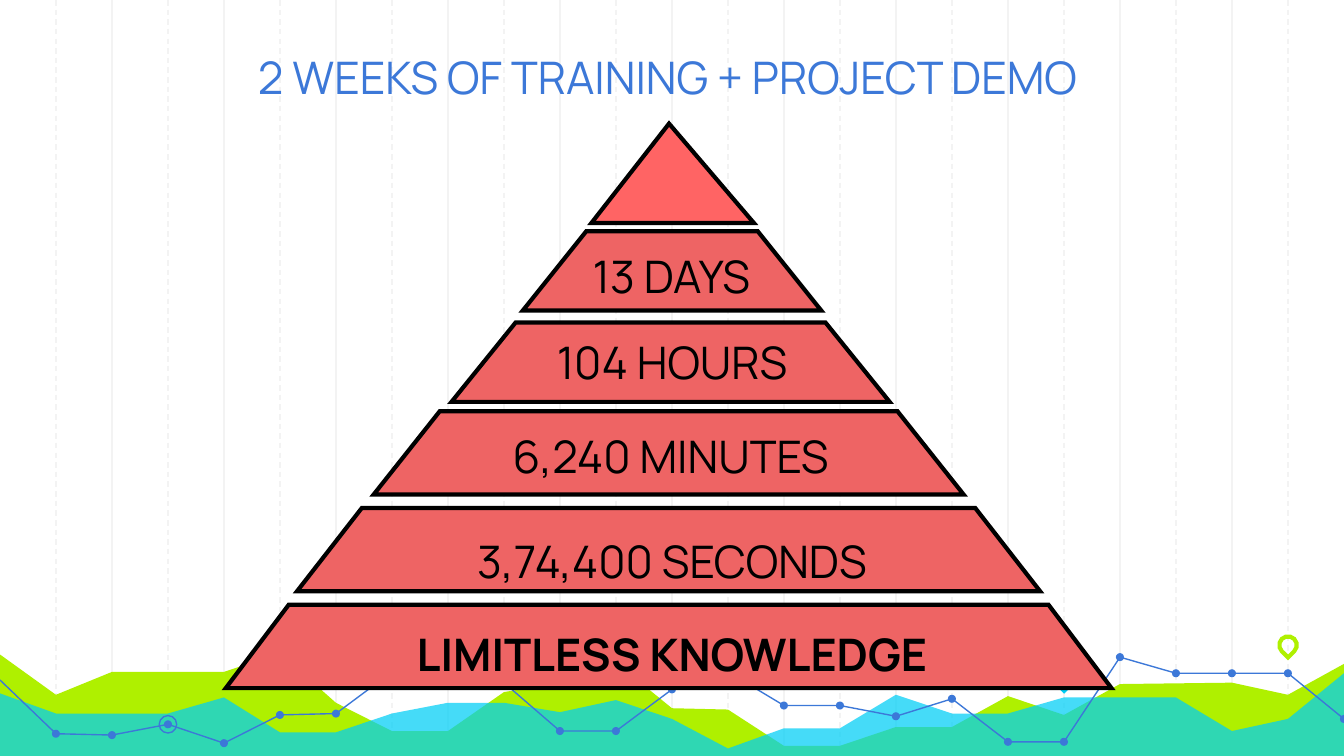
import pptx
import pptx.util
import pptx.dml.color
import pptx.enum.dml
import pptx.enum.shapes
import pptx.enum.text
import pptx.oxml.ns
from dataclasses import dataclass
from lxml import etree

Inches, Pt = pptx.util.Inches, pptx.util.Pt
Shape = pptx.enum.shapes.MSO_SHAPE
qn = pptx.oxml.ns.qn


@dataclass(frozen=True)
class Theme:
    font: str = "Manrope"
    size: int = 24
    blue: str = "3C78D8"
    green: str = "AFF000"
    cyan: str = "00CEF6"
    grid: str = "F3F3F3"
    red: str = "EE6464"
    bright_red: str = "FF6464"
    black: str = "000000"
    thin: float = 0.75
    thick: float = 2.25


THEME = Theme()
WIDTH = 10
HEIGHT = WIDTH * 9 / 16
COLUMN = WIDTH / 24

# Content: the pyramid, from the base up
TITLE = "2 WEEKS OF TRAINING + PROJECT DEMO "
TIERS = [  # left, top, width, height, slant
    (1.68, 4.5, 6.59, 0.62, 0.755),
    (2.21, 3.78, 5.53, 0.62, 0.779),
    (2.78, 3.06, 4.39, 0.62, 0.794),
    (3.36, 2.4, 3.26, 0.59, 0.808),
    (3.89, 1.72, 2.22, 0.59, 0.801),
]
LABELS = [  # text, left, top, width, height, line spacing, bold
    ("LIMITLESS KNOWLEDGE", 1.33, 4.32, 7.34, 1.04, 1.1, True),
    ("3,74,400 SECONDS", 1.33, 3.63, 7.34, 1.04, 1.1, False),
    ("6,240 MINUTES", 3.36, 3.15, 3.26, 0.48, 1, False),
    ("104 HOURS", 3.89, 2.45, 2.22, 0.48, 1, False),
    ("13 DAYS", 4.09, 1.81, 1.81, 0.48, 1, False),
]

# Backdrop: heights on the 24-column grid
GREEN_HILLS = {
    0: 4.87, 1: 5.17, 2: 5, 4: 5, 5: 4.86, 6: 5.23, 7: 5.44, 8: 5.44,
    9: 5.15, 10: 5.08, 11: 4.93, 12: 5.27, 13: 5.28, 14: 5.55, 15: 5.55,
    16: 5.41, 17: 5.41, 18: 5.18, 19: 5.32, 20: 5.09, 22: 5.08, 23: 5.17,
    24: 4.94,
}
CYAN_HILLS = {
    0: 5.16, 1: 5.31, 3: 5.31, 4: 5.19, 5: 5.45, 6: 5.45, 7: 5.31, 8: 5.23,
    9: 5.23, 10: 5.3, 11: 5.21, 12: 5.35, 13: 5.57, 14: 5.42, 15: 5.42,
    16: 5.17, 17: 5.31, 18: 5.31, 19: 5.19, 21: 5.19, 22: 5.44, 23: 5.35,
    24: 5.01,
}
TREND = [
    5.06, 5.46, 5.47, 5.39, 5.53, 5.32, 5.31, 5, 5.08, 5.08, 5.44, 5.44, 5.13,
    5, 5.25, 5.25, 5.33, 5.2, 5.52, 5.52, 4.89, 5.01, 5.01, 5.01, 5.35,
]
TREND_PARTS = [(0, 11), (11, 20), (20, 24)]
RINGED = 3
DOT, MARKER = 0.06, 0.13

deck = pptx.Presentation()
deck.slide_width, deck.slide_height = Inches(WIDTH), Inches(HEIGHT)
page = deck.slides.add_slide(deck.slide_layouts[5])


def rgb(value):
    return pptx.dml.color.RGBColor.from_string(value)


def paint(shape, fill=None, line=None, weight=THEME.thin):
    shape.shadow.inherit = False
    if fill:
        shape.fill.solid()
        shape.fill.fore_color.rgb = rgb(fill)
    else:
        shape.fill.background()
    if line:
        shape.line.color.rgb = rgb(line)
        shape.line.width = Pt(weight)
        etree.SubElement(shape.line._get_or_add_ln(), qn("a:miter"), lim="800000")
    else:
        shape.line.fill.background()
    return shape


def add_preset(kind, left, top, width, height, **style):
    shape = page.shapes.add_shape(
        kind, Inches(left), Inches(top), Inches(width), Inches(height))
    return paint(shape, **style)


def add_marker(kind, center, middle, size, **style):
    return add_preset(kind, center - size / 2, middle - size / 2, size, size,
                      **style)


def add_pin(center, middle, **style):
    add_marker(Shape.TEAR, center, middle, MARKER, **style).rotation = 135


def add_outline(points, close, **style):
    corners = [(Inches(x), Inches(y)) for x, y in points]
    builder = page.shapes.build_freeform(*corners[0])
    builder.add_line_segments(corners[1:], close=close)
    return paint(builder.convert_to_shape(), **style)


def add_hills(heights, color):
    ridge = [(column * COLUMN, y) for column, y in heights.items()]
    return add_outline(ridge + [(WIDTH, HEIGHT), (0, HEIGHT)], True, fill=color)


def write(box, text, color, spacing, bold=False):
    frame = box.text_frame
    frame.text = text
    frame.word_wrap = True
    frame.auto_size = pptx.enum.text.MSO_AUTO_SIZE.NONE
    frame.vertical_anchor = pptx.enum.text.MSO_ANCHOR.MIDDLE
    frame.margin_left = frame.margin_right = 0
    frame.margin_top = frame.margin_bottom = 0
    para = frame.paragraphs[0]
    para.alignment = pptx.enum.text.PP_ALIGN.CENTER
    para.line_spacing = spacing
    font = para.runs[0].font
    font.name, font.size, font.bold = THEME.font, Pt(THEME.size), bold
    font.color.rgb = rgb(color)


# Grid: solid lines on even columns, dashed on odd ones
for column in range(1, 24):
    x = Inches(column * COLUMN)
    rule = page.shapes.add_connector(
        pptx.enum.shapes.MSO_CONNECTOR.STRAIGHT, x, 0, x, Inches(HEIGHT))
    rule.line.color.rgb = rgb(THEME.grid)
    rule.line.width = Pt(THEME.thin)
    if column % 2:
        rule.line.dash_style = pptx.enum.dml.MSO_LINE.DASH
    etree.SubElement(rule._element.spPr, qn("a:effectLst"))

# Hills
add_hills(GREEN_HILLS, THEME.green)
cyan_hills = add_hills(CYAN_HILLS, THEME.cyan)
tint = cyan_hills._element.spPr.find(".//" + qn("a:srgbClr"))
etree.SubElement(tint, qn("a:alpha"), val="73000")

# Trend line with its dots and pins
add_pin(19 * COLUMN, 5.07, fill=THEME.cyan)
trend_points = [(column * COLUMN, y) for column, y in enumerate(TREND)]
for first, last in TREND_PARTS:
    add_outline(trend_points[first:last + 1], False, line=THEME.blue)
for x, y in trend_points[1:]:
    add_marker(Shape.OVAL, x, y, DOT, fill=THEME.blue)
add_marker(Shape.OVAL, *trend_points[RINGED], MARKER, line=THEME.blue)
add_pin(23 * COLUMN, 4.8, line=THEME.green, weight=THEME.thick)

# Title, brought in front of the backdrop
title = page.shapes.title
title.left, title.top = 0, Inches(0.18)
title.width, title.height = Inches(WIDTH), Inches(0.74)
write(title, TITLE, THEME.blue, 1.1)
page.shapes._spTree.append(title._element)

# Pyramid
edge = {"line": THEME.black, "weight": THEME.thick}
for *place, slant in TIERS:
    tier = add_preset(Shape.TRAPEZOID, *place, fill=THEME.red, **edge)
    tier.adjustments[0] = slant
peak = add_preset(Shape.ISOSCELES_TRIANGLE, 4.4, 0.92, 1.21, 0.74,
                  fill=THEME.bright_red, **edge)
peak.adjustments[0] = 0.478

# Tier labels
for text, *place, spacing, bold in LABELS:
    label = page.shapes.add_textbox(*map(Inches, place))
    write(label, text, THEME.black, spacing, bold)

deck.save("out.pptx")
